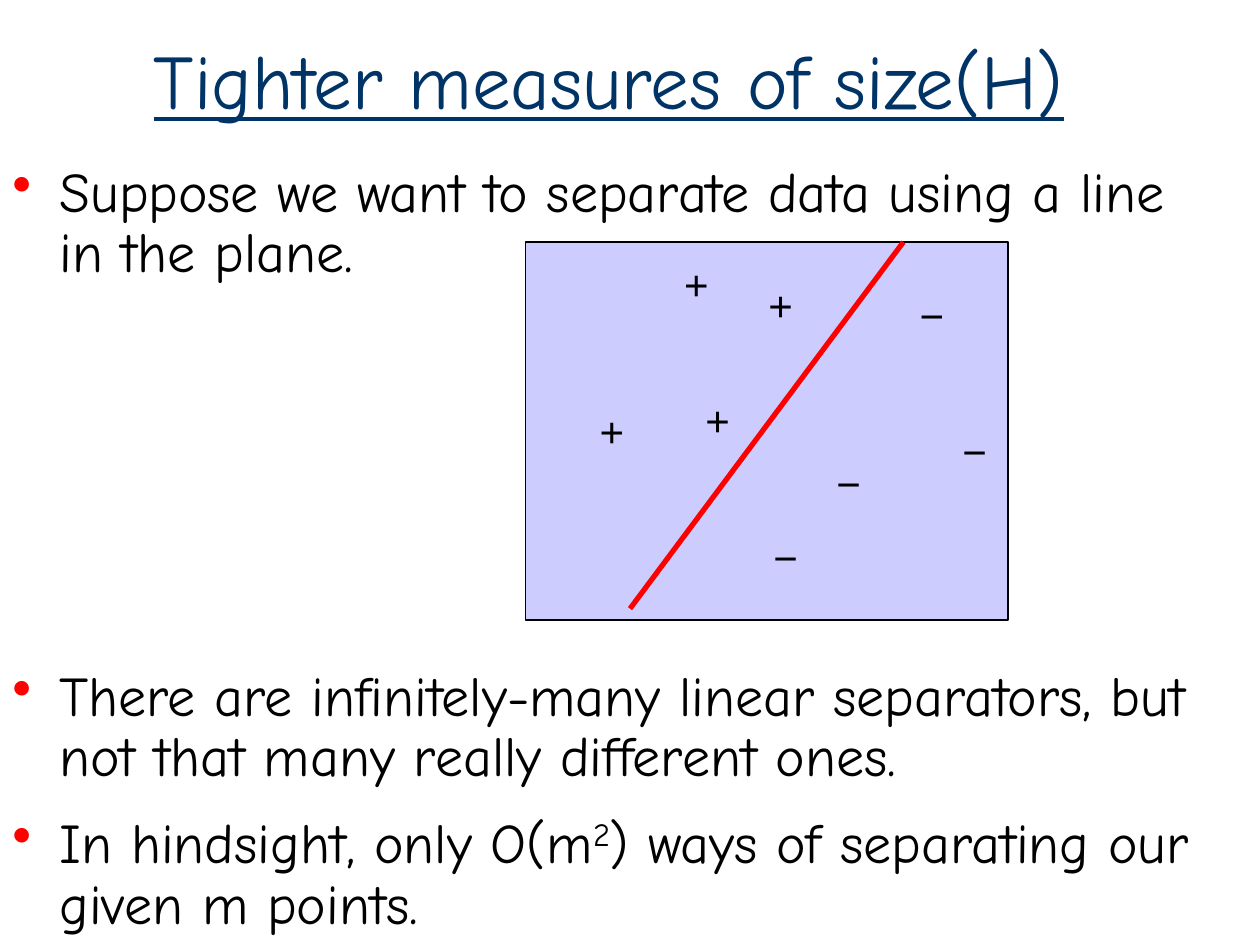
from lxml import etree
from pptx import Presentation
from pptx import util as u
from pptx.dml.color import RGBColor
from pptx.enum import shapes, text
from pptx.oxml.ns import qn

# Content: lengths in cm
TITLE = ("Tighter measures of size(H)", (0, 0, 24.56, 3.18))
# Each point: top, width, runs as (words, raised)
POINTS = [
    (3.18, 24.77, [("Suppose we want to separate data using a line in the plane.", False)]),
    (13.34, 24.97, [("There are infinitely-many linear separators, "
                     "but not that many really different ones.", False)]),
    (16.31, 24.97, [("In hindsight, only O(m", False), ("2", True),
                    (") ways of separating our given m points.", False)]),
]
PLANE = (10.59, 4.88, 9.73, 7.62)
# Sign: box width, then the corner of each data point
SIGNS = {
    "+": (0.99, [(11.84, 8.05), (13.54, 5.08), (13.97, 7.82), (15.24, 5.51)]),
    "−": (0.79, [(16.61, 9.09), (19.15, 8.46), (18.29, 5.72), (15.34, 10.59)]),
}
CUT = (12.7, 12.27, 18.21, 4.88)
ROW, SIGN, DENT = 2.74, 1.27, 0.95

THEME = {
    "title": {"name": "Comic Neue", "size": u.Pt(44), "color": "003366", "underline": True},
    "body": {"name": "Comic Neue", "size": u.Pt(32), "color": "000000"},
    "sign": {"name": "Arial", "size": u.Pt(24), "color": "000000"},
    "plane": "CCCCFF", "edge": "000000", "accent": "FF0000",
}


def cm(vals):
    return [u.Cm(v) for v in vals]


def rgb(key):
    return RGBColor.from_string(THEME[key])


def apply(obj, **vals):
    for key, val in vals.items():
        setattr(obj, key, val)


def style(run, look):
    for key, val in THEME[look].items():
        if key == "color":
            run.font.color.rgb = RGBColor.from_string(val)
        else:
            setattr(run.font, key, val)


def write(home, box, runs, look, **frame):
    """Add a text box and return its paragraph."""
    tf = home.add_textbox(*cm(box)).text_frame
    apply(tf, **{"word_wrap": True, **frame})
    para = tf.paragraphs[0]
    for words, raised in runs:
        run = para.add_run()
        run.text = words
        style(run, look)
        if raised:
            run.font._element.set("baseline", "30000")
    return para


def bullet(para):
    props = para._p.get_or_add_pPr()
    props.set("marL", str(u.Cm(DENT)))
    props.set("indent", str(-u.Cm(DENT)))
    tint = etree.SubElement(props, qn("a:buClr"))
    etree.SubElement(tint, qn("a:srgbClr"), val=THEME["accent"])
    etree.SubElement(props, qn("a:buChar"), char="•")


deck = Presentation()
apply(deck, slide_width=u.Cm(25.4), slide_height=u.Cm(19.05))
slide = deck.slides.add_slide(deck.slide_layouts[6])
parts = slide.shapes

# Title
words, box = TITLE
head = write(parts, box, [(words, False)], "title",
             vertical_anchor=text.MSO_ANCHOR.MIDDLE)
head.alignment = text.PP_ALIGN.CENTER

# Bullet points
for top, wide, runs in POINTS:
    para = write(parts, (0, top, wide, ROW), runs, "body")
    apply(para, line_spacing=0.9, space_before=u.Pt(8))
    bullet(para)

# Plane with its data points
group = parts.add_group_shape().shapes
plane = group.add_shape(shapes.MSO_SHAPE.RECTANGLE, *cm(PLANE))
plane.shadow.inherit = False
plane.fill.solid()
plane.fill.fore_color.rgb = rgb("plane")
plane.line.color.rgb = rgb("edge")
plane.line.width = u.Pt(0.75)
for sign, (wide, spots) in SIGNS.items():
    for left, top in spots:
        write(group, (left, top, wide, SIGN), [(sign, False)], "sign",
              word_wrap=False, auto_size=text.MSO_AUTO_SIZE.SHAPE_TO_FIT_TEXT)

# Separating line
cut = parts.add_connector(shapes.MSO_CONNECTOR.STRAIGHT, *cm(CUT))
cut.line.color.rgb = rgb("accent")
cut.line.width = u.Pt(3)
etree.SubElement(cut._element.spPr, qn("a:effectLst"))

deck.save("out.pptx")
